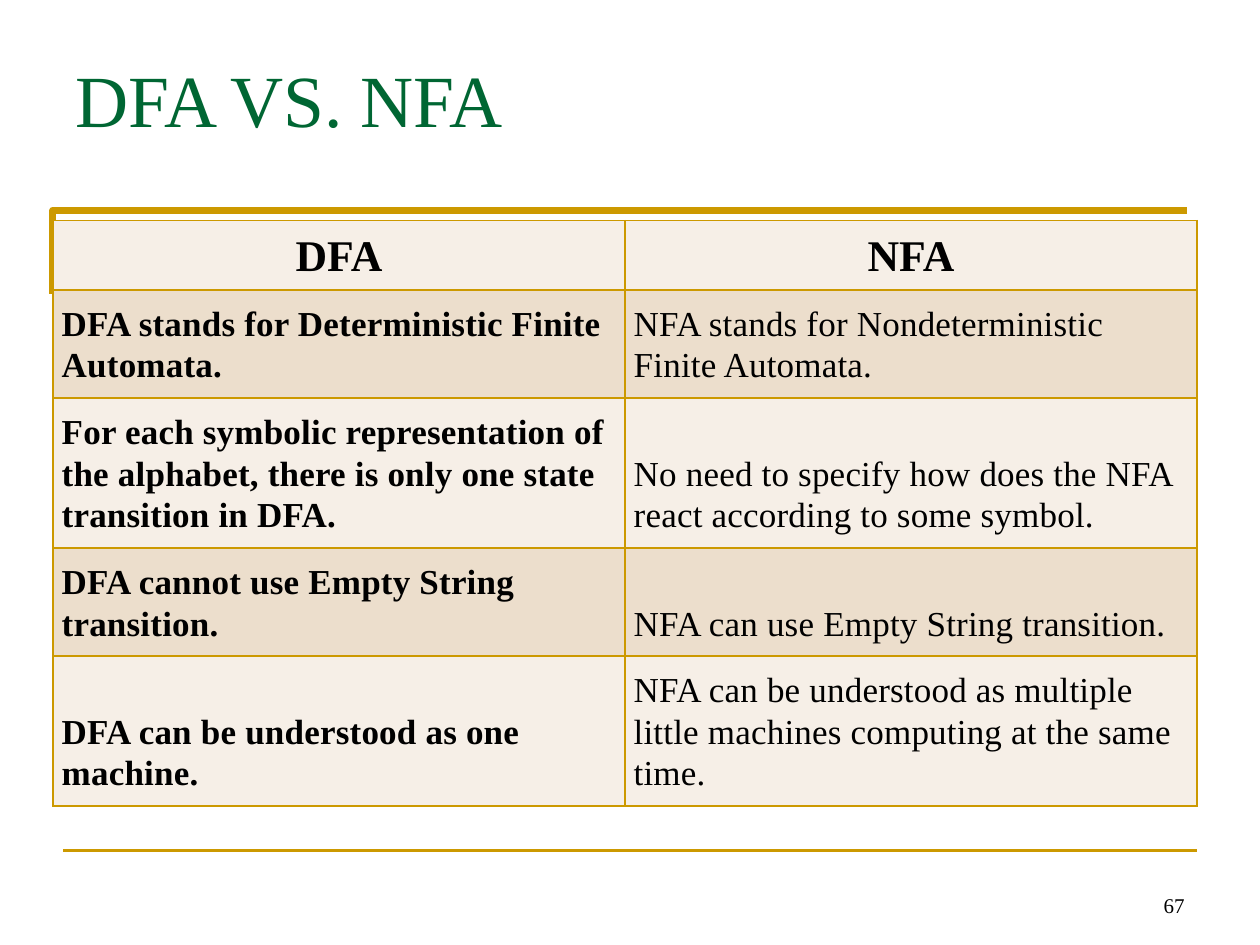
from lxml import etree
from pptx import Presentation
from pptx.dml.color import RGBColor
from pptx.enum.shapes import MSO_CONNECTOR
from pptx.enum.text import MSO_ANCHOR, PP_ALIGN
from pptx.oxml import parse_xml
from pptx.oxml.ns import nsdecls, qn
from pptx.util import Inches, Pt

GOLD = RGBColor(0xCC, 0x99, 0x00)
GREEN = RGBColor(0x00, 0x66, 0x33)
BLACK = RGBColor(0x00, 0x00, 0x00)
LIGHT_ROW = RGBColor(0xF6, 0xEF, 0xE7)
DARK_ROW = RGBColor(0xEC, 0xDE, 0xCC)

HEADINGS = ("DFA", "NFA")
COMPARISON = [
    ("DFA stands for Deterministic Finite Automata.",
     "NFA stands for Nondeterministic Finite Automata."),
    ("For each symbolic representation of the alphabet, there is only one "
     "state transition in DFA.",
     "No need to specify how does the NFA react according to some symbol."),
    ("DFA cannot use Empty String transition.",
     "NFA can use Empty String transition."),
    ("DFA can be understood as one machine.",
     "NFA can be understood as multiple little machines computing at the "
     "same time."),
]
ROW_HEIGHTS = (0.55, 0.85, 1.18, 0.85, 1.18)


class SlideBuilder:
    def __init__(self, slide, font_name="Times New Roman"):
        self.slide = slide
        self.font_name = font_name

    def format_text(self, paragraph, size, color=BLACK, bold=False,
                    align=PP_ALIGN.LEFT):
        paragraph.alignment = align
        font = paragraph.font
        font.name, font.size, font.bold = self.font_name, Pt(size), bold
        font.color.rgb = color

    def title(self, text):
        title = self.slide.shapes.title
        title.left, title.top = Inches(0.5), Inches(0.3)
        title.width, title.height = Inches(9), Inches(1.25)
        frame = title.text_frame
        frame.text = text
        frame.vertical_anchor = MSO_ANCHOR.TOP
        frame.margin_top = Inches(0.13)
        self.format_text(frame.paragraphs[0], 42, GREEN)

    def corner_rule(self, left, top, right, bottom):
        """Draw an open corner: up the left side, then along the top."""
        outline = self.slide.shapes.build_freeform(Inches(left), Inches(bottom))
        outline.add_line_segments(
            [(Inches(left), Inches(top)), (Inches(right), Inches(top))],
            close=False)
        corner = outline.convert_to_shape()
        corner.shadow.inherit = False
        corner.fill.background()
        corner.line.color.rgb = GOLD
        corner.line.width = Pt(4)

    def horizontal_rule(self, left, right, y):
        rule = self.slide.shapes.add_connector(
            MSO_CONNECTOR.STRAIGHT,
            Inches(left), Inches(y), Inches(right), Inches(y))
        rule.line.color.rgb = GOLD
        rule.line.width = Pt(2)
        etree.SubElement(rule._element.spPr, qn("a:effectLst"))

    def cell(self, cell, text, fill, heading=False, bold=False):
        cell.margin_left = cell.margin_right = Inches(0.07)
        cell.margin_top = cell.margin_bottom = Inches(0.07 if heading else 0.1)
        cell.vertical_anchor = MSO_ANCHOR.MIDDLE if heading else MSO_ANCHOR.BOTTOM
        cell.text = text
        paragraph = cell.text_frame.paragraphs[0]
        paragraph.line_spacing = 1.07
        self.format_text(paragraph, 25 if heading else 20, bold=bold,
                         align=PP_ALIGN.CENTER if heading else PP_ALIGN.LEFT)
        paragraph.runs[0].font._element.set("spc", "10")
        cell.fill.solid()
        cell.fill.fore_color.rgb = fill
        properties = cell._tc.get_or_add_tcPr()
        for position, side in enumerate(("lnL", "lnR", "lnT", "lnB")):
            properties.insert(position, parse_xml(
                f'<a:{side} {nsdecls("a")} w="{Pt(1)}"><a:solidFill>'
                f'<a:srgbClr val="{GOLD}"/></a:solidFill></a:{side}>'))

    def table(self, rows, left, top, width, heights):
        table = self.slide.shapes.add_table(
            len(rows), len(rows[0]), Inches(left), Inches(top),
            Inches(width), Inches(sum(heights))).table
        for row_index, (texts, height) in enumerate(zip(rows, heights)):
            table.rows[row_index].height = Inches(height)
            fill = DARK_ROW if row_index % 2 else LIGHT_ROW
            heading = row_index == 0
            for column_index, text in enumerate(texts):
                self.cell(table.cell(row_index, column_index), text, fill,
                          heading, bold=heading or column_index == 0)

    def page_number(self, number):
        box = self.slide.shapes.add_textbox(
            Inches(7.17), Inches(6.83), Inches(2.33), Inches(0.5))
        frame = box.text_frame
        frame.word_wrap = True
        frame.vertical_anchor = MSO_ANCHOR.BOTTOM
        frame.text = number
        self.format_text(frame.paragraphs[0], 12, align=PP_ALIGN.RIGHT)


def main():
    presentation = Presentation()
    presentation.slide_width = Inches(10)
    presentation.slide_height = Inches(7.5)
    title_only = presentation.slide_layouts[5]
    builder = SlideBuilder(presentation.slides.add_slide(title_only))

    builder.corner_rule(left=0.42, top=1.67, right=9.42, bottom=2.33)
    builder.horizontal_rule(left=0.5, right=9.5, y=6.75)
    builder.title("DFA VS. NFA")
    builder.table([HEADINGS, *COMPARISON], left=0.42, top=1.75, width=9.08,
                  heights=ROW_HEIGHTS)
    builder.page_number("67")
    presentation.save("out.pptx")


if __name__ == "__main__":
    main()
